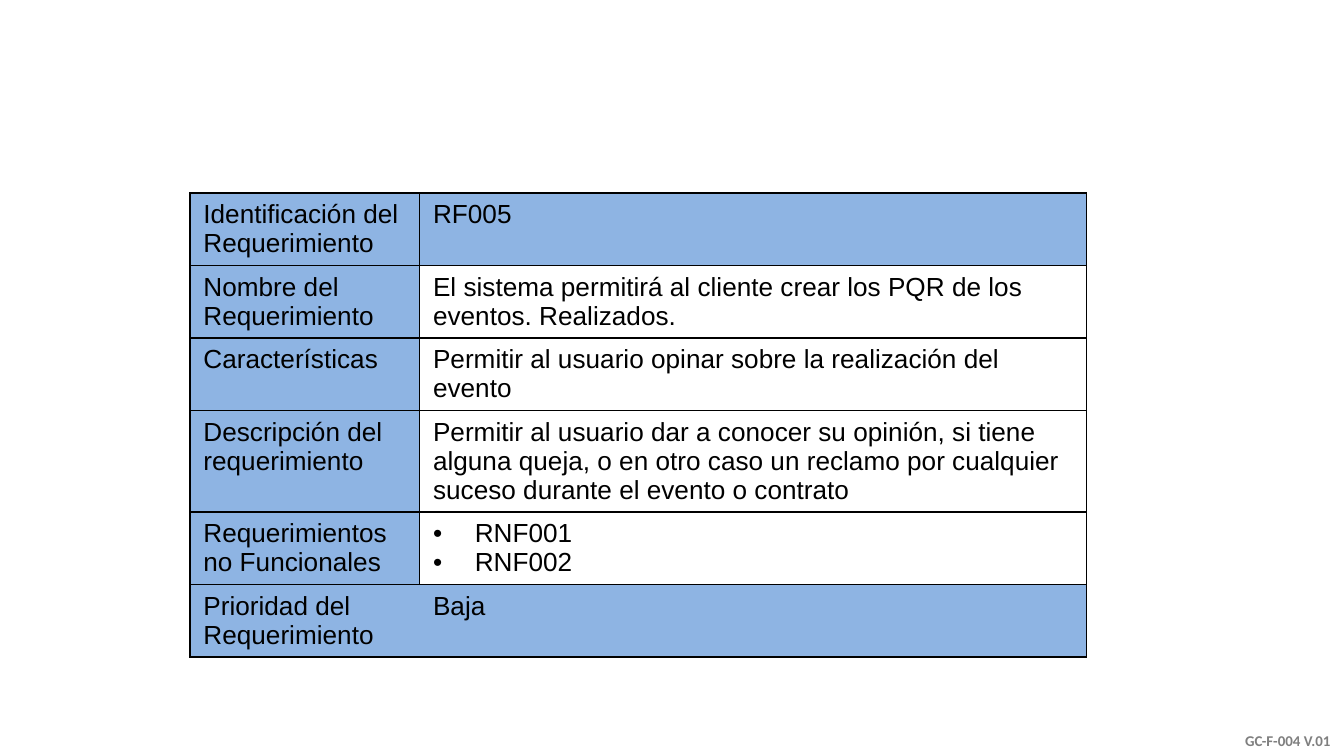
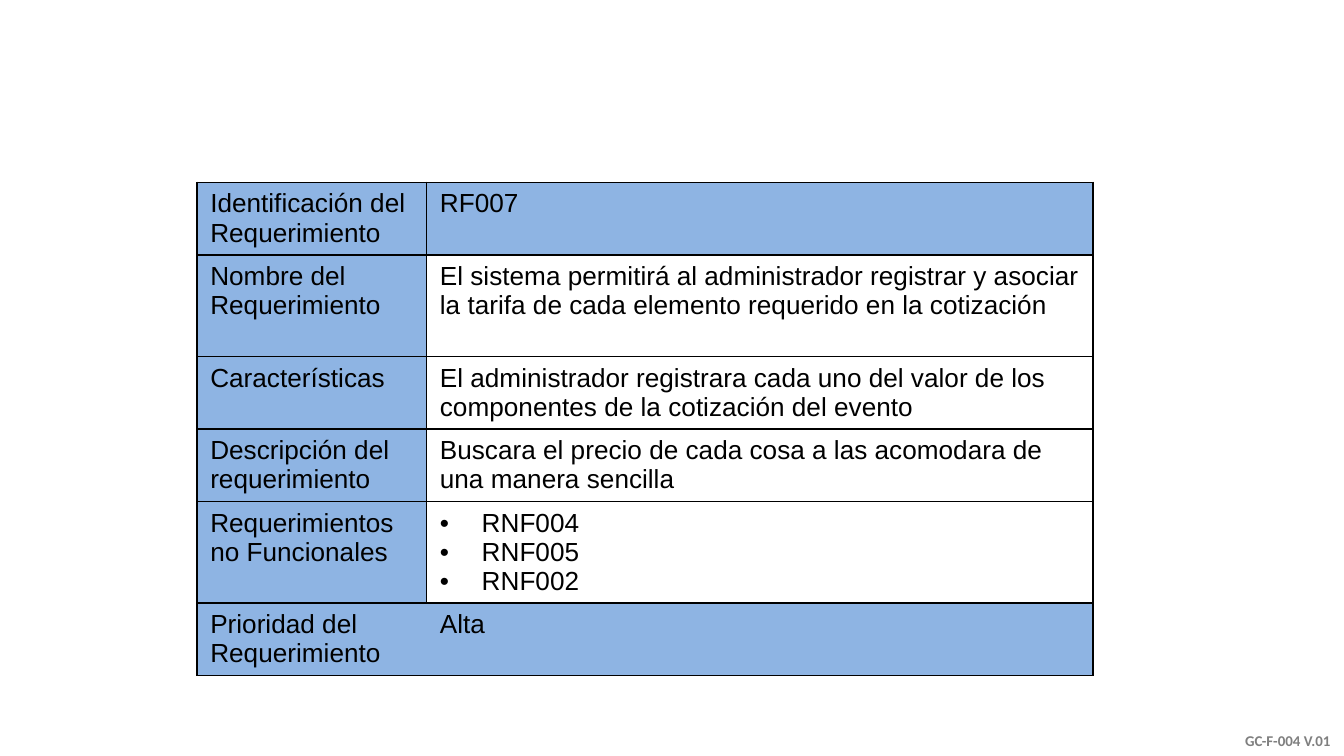
import pptx
import pptx.dml.color
import pptx.enum.text
import pptx.oxml.ns
import pptx.util
from lxml import etree
from pptx.util import Cm

BLUE, BLACK, GREY = "8EB4E3", "000000", "7F7F7F"
COLUMNS = (4.34, 12.6)
LABELS = (
    "Identificación del Requerimiento",
    "Nombre del Requerimiento",
    "Características",
    "Descripción del requerimiento",
    "Requerimientos no Funcionales",
    "Prioridad del Requerimiento",
)
ROW_HEIGHTS = {2: 1.37, 3: 1.92}
# Each value is paired with the number of text lines its row holds.
REQUIREMENTS = (
    (3.59, 3.65, (
        ("RF005", 2),
        ("El sistema permitirá al cliente crear los PQR de los eventos. Realizados.", 2),
        ("Permitir al usuario opinar sobre la realización del evento", 2),
        ("Permitir al usuario dar a conocer su opinión, si tiene alguna queja, o en otro caso "
         "un reclamo por cualquier suceso durante el evento o contrato", 3),
        (("RNF001", "RNF002"), 2),
        ("Baja", 2),
    )),
    (3.72, 3.45, (
        ("RF007", 2),
        ("El sistema permitirá al administrador registrar y asociar la tarifa de cada elemento "
         "requerido en la cotización", 3),
        ("El administrador registrara cada uno del valor de los componentes de la cotización "
         "del evento", 2),
        ("Buscara el precio de cada cosa a las acomodara de una manera sencilla", 2),
        (("RNF004", "RNF005", "RNF002"), 3),
        ("Alta", 2),
    )),
)


def rgb(value):
    return pptx.dml.color.RGBColor.from_string(value)


def add_element(parent, tag, **attributes):
    return etree.SubElement(parent, pptx.oxml.ns.qn(tag), attributes)


def add_bullet(para):
    properties = para._p.get_or_add_pPr()
    properties.set("marL", str(Cm(0.79)))
    properties.set("indent", str(-Cm(0.79)))
    add_element(add_element(properties, "a:buClr"), "a:srgbClr", val=BLACK)
    add_element(properties, "a:buFont", typeface="Arial")
    add_element(properties, "a:buChar", char="•")


def write(frame, text, size=14, font="Arial", color=BLACK, bold=False, align=None):
    """Write a string as one paragraph, or a tuple of strings as a bulleted list."""
    bulleted = isinstance(text, tuple)
    for index, line in enumerate(text if bulleted else (text,)):
        para = frame.add_paragraph() if index else frame.paragraphs[0]
        if bulleted:
            add_bullet(para)
        if align is not None:
            para.alignment = align
        span = para.add_run()
        span.text = line
        span.font.size = pptx.util.Pt(size)
        span.font.name = font
        span.font.bold = bold
        span.font.color.rgb = rgb(color)


def set_borders(cell, hidden=""):
    """Draw black cell borders, except on the hidden side (L, R, T or B)."""
    properties = cell._tc.get_or_add_tcPr()
    for side in "LRTB":
        line = add_element(properties, f"a:ln{side}", w=str(pptx.util.Pt(1)))
        if side == hidden:
            add_element(line, "a:noFill")
        else:
            add_element(add_element(line, "a:solidFill"), "a:srgbClr", val=BLACK)


def add_requirement_table(page, left, top, values):
    heights = [Cm(ROW_HEIGHTS[lines]) for _, lines in values]
    table = page.shapes.add_table(
        len(LABELS), len(COLUMNS), Cm(left), Cm(top), Cm(sum(COLUMNS)), sum(heights)
    ).table
    table.first_row = table.horz_banding = False
    for column, width in zip(table.columns, COLUMNS):
        column.width = Cm(width)
    last = len(LABELS) - 1
    for row, (label, (value, _)) in enumerate(zip(LABELS, values)):
        table.rows[row].height = heights[row]
        for column, text in enumerate((label, value)):
            cell = table.cell(row, column)
            cell.margin_bottom = 0
            write(cell.text_frame, text)
            set_borders(cell, hidden="RL"[column] if row == last else "")
            if column == 0 or row in (0, last):
                cell.fill.solid()
                cell.fill.fore_color.rgb = rgb(BLUE)
            else:
                cell.fill.background()


def add_form_code(page, left, top, width, height):
    box = page.shapes.add_textbox(Cm(left), Cm(top), Cm(width), Cm(height))
    frame = box.text_frame
    frame.word_wrap = True
    frame.vertical_anchor = pptx.enum.text.MSO_ANCHOR.BOTTOM
    write(frame, "GC-F-004 V.01", size=8, font="Calibri", color=GREY, bold=True,
          align=pptx.enum.text.PP_ALIGN.RIGHT)


def main():
    deck = pptx.Presentation()
    deck.slide_width, deck.slide_height = Cm(25.4), Cm(14.29)
    blank = deck.slide_layouts[6]
    for left, top, values in REQUIREMENTS:
        page = deck.slides.add_slide(blank)
        add_form_code(page, 21.26, 13.2, 4.14, 1.09)
        add_requirement_table(page, left, top, values)
    deck.save("out.pptx")


if __name__ == "__main__":
    main()
